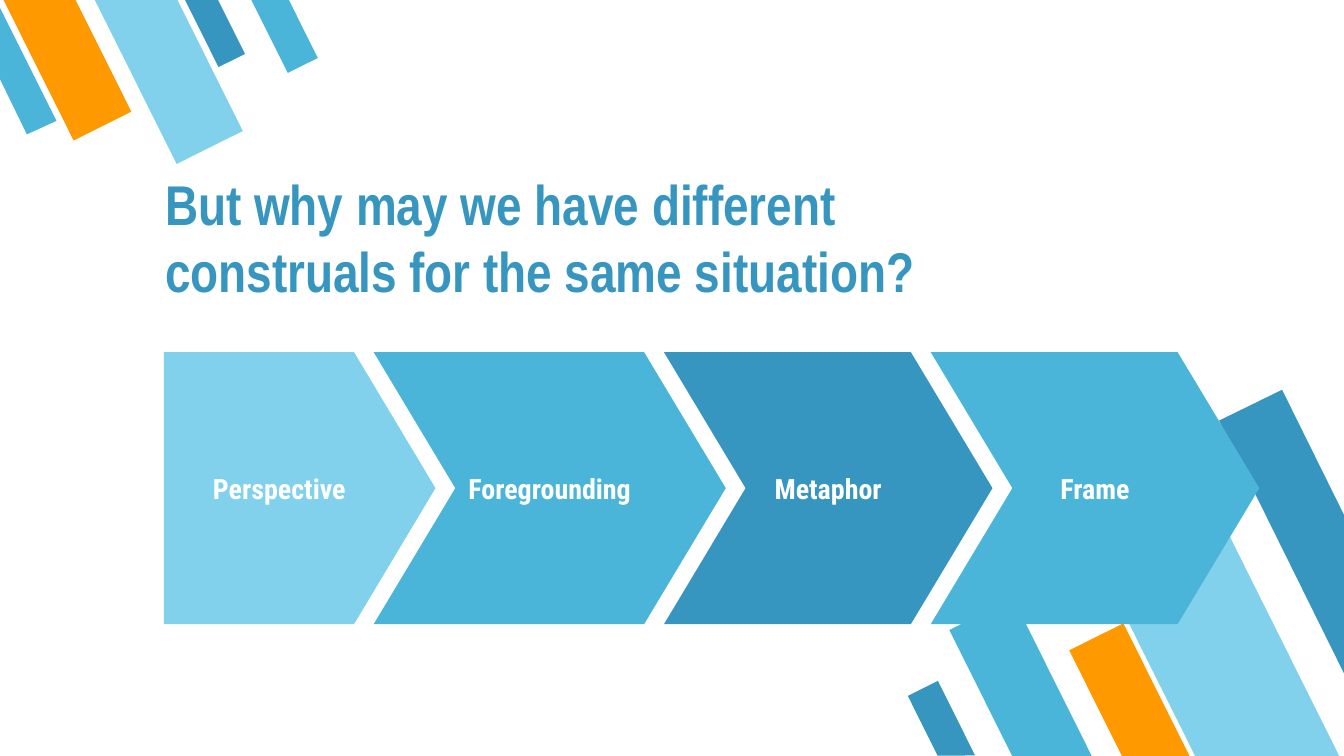
from pptx import Presentation
from pptx.dml.color import RGBColor
from pptx.enum.shapes import MSO_SHAPE
from pptx.enum.text import MSO_ANCHOR, PP_ALIGN
from pptx.util import Pt

EMU_PER_PX = 4572  # 200 px to the inch

SKY = RGBColor(0x81, 0xD1, 0xEC)
CYAN = RGBColor(0x4B, 0xB5, 0xD9)
BLUE = RGBColor(0x37, 0x96, 0xBF)
ORANGE = RGBColor(0xFF, 0x99, 0x00)
WHITE = RGBColor(0xFF, 0xFF, 0xFF)


def px(length):
    return length * EMU_PER_PX


def paint(shape, color):
    shape.shadow.inherit = False
    shape.fill.solid()
    shape.fill.fore_color.rgb = color
    shape.line.fill.background()


def write_text(shape, text, *, font, size, color, align, anchor, margin):
    frame = shape.text_frame
    frame.word_wrap = True
    frame.vertical_anchor = anchor
    frame.margin_left = frame.margin_right = px(margin)
    frame.margin_top = frame.margin_bottom = px(margin)
    paragraph = frame.paragraphs[0]
    paragraph.alignment = align
    run = paragraph.add_run()
    run.text = text
    run.font.name = font
    run.font.size = Pt(size)
    run.font.bold = True
    run.font.color.rgb = color


def add_stripes(slide, left, top, *, rotation, stripes, cut_stripe):
    """Add slanted stripes, and one cut off by the slide edge, from a corner point."""
    for x, y, width, height, color in stripes:
        shape = slide.shapes.add_shape(
            MSO_SHAPE.FLOWCHART_MANUAL_INPUT,
            px(left + x), px(top + y), px(width), px(height))
        shape.element.spPr.xfrm.set("flipH", "1")
        shape.rotation = rotation
        paint(shape, color)

    points, color = cut_stripe
    corners = [(px(left + x), px(top + y)) for x, y in points]
    builder = slide.shapes.build_freeform(*corners[0])
    builder.add_line_segments(corners[1:], close=True)
    paint(builder.convert_to_shape(), color)


def add_title(slide, left, top, width, height, text):
    box = slide.shapes.add_textbox(px(left), px(top), px(width), px(height))
    write_text(box, text, font="Arial Narrow", size=30, color=BLUE,
               align=PP_ALIGN.LEFT, anchor=MSO_ANCHOR.BOTTOM, margin=20)


def add_chevron_row(slide, left, top, height, steps, overlap):
    """Add arrows from left to right, each nested into the one before."""
    for index, (text, width, color) in enumerate(steps):
        kind = MSO_SHAPE.CHEVRON if index else MSO_SHAPE.PENTAGON
        shape = slide.shapes.add_shape(
            kind, px(left), px(top), px(width), px(height))
        shape.adjustments[0] = 0.3
        paint(shape, color)
        write_text(shape, text, font="Roboto Condensed", size=15, color=WHITE,
                   align=PP_ALIGN.CENTER, anchor=MSO_ANCHOR.MIDDLE, margin=16)
        left += width - overlap


def main():
    presentation = Presentation()
    presentation.slide_width = px(2000)
    presentation.slide_height = px(1125)
    slide = presentation.slides.add_slide(presentation.slide_layouts[6])

    add_stripes(
        slide, 1376, 580, rotation=153.5,
        stripes=[
            (90, 320, 106, 264, CYAN),
            (330, 138, 192, 478, SKY),
            (260, 356, 90, 222, ORANGE),
            (0, 438, 50, 124, BLUE),
        ],
        cut_stripe=([(532, 0), (438, 46), (624, 422), (624, 186)], BLUE))
    add_stripes(
        slide, 0, 0, rotation=333.5,
        stripes=[
            (298, -16, 44, 112, BLUE),
            (52, -36, 96, 236, ORANGE),
            (196, -40, 110, 274, SKY),
            (398, -20, 50, 124, CYAN),
        ],
        cut_stripe=([(40, 200), (84, 180), (0, 12), (0, 118)], CYAN))

    add_title(slide, 226, 324, 1402, 148,
              "But why may we have different construals for the same situation?")
    add_chevron_row(
        slide, 244, 524, 405, overlap=92,
        steps=[
            ("Perspective", 404, SKY),
            ("Foregrounding", 524, CYAN),
            ("Metaphor", 489, BLUE),
            ("Frame", 489, CYAN),
        ])

    presentation.save("out.pptx")


if __name__ == "__main__":
    main()
